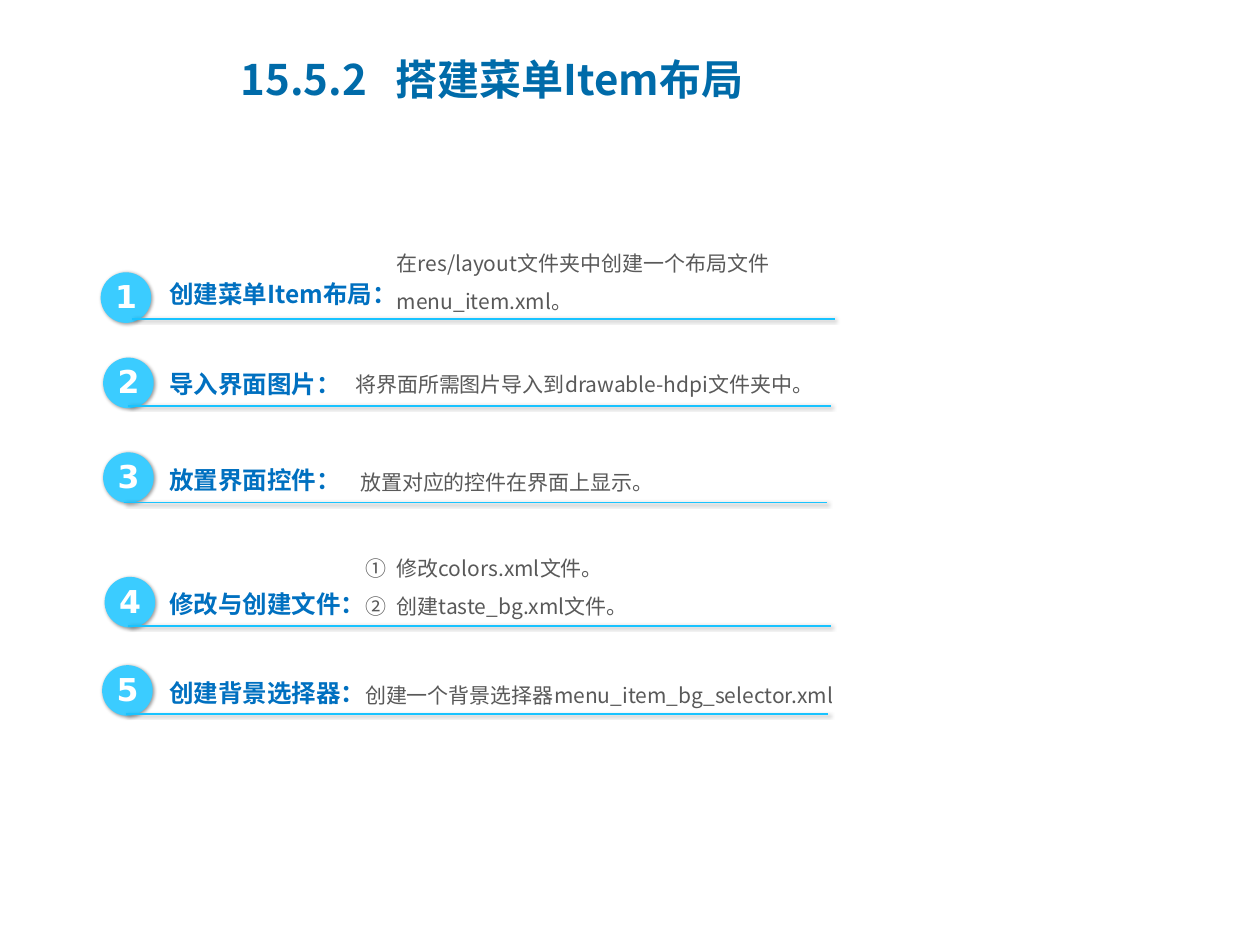
from dataclasses import dataclass

from lxml import etree
from pptx import Presentation
from pptx.dml.color import RGBColor
from pptx.enum.shapes import MSO_CONNECTOR, MSO_SHAPE
from pptx.enum.text import MSO_ANCHOR, MSO_AUTO_SIZE
from pptx.oxml.ns import qn
from pptx.util import Cm, Pt

STRAIGHT = MSO_CONNECTOR.STRAIGHT
OVAL = MSO_SHAPE.OVAL
MIDDLE = MSO_ANCHOR.MIDDLE
GROW = MSO_AUTO_SIZE.SHAPE_TO_FIT_TEXT


@dataclass(frozen=True)
class TextStyle:
    """Type settings of one kind of text."""
    size: int
    color: str
    font: str = "Noto Sans CJK SC"
    bold: bool = False


@dataclass(frozen=True)
class Theme:
    """Colours and type sizes of the deck."""
    badge: str = "3BCCFF"
    rule: str = "19C3FF"
    shadow: str = "000000"
    east_asian: str = "Noto Sans CJK SC"
    title: TextStyle = TextStyle(24, "006BA9", bold=True)
    number: TextStyle = TextStyle(18, "FFFFFF", "DejaVu Sans", True)
    label: TextStyle = TextStyle(14, "0070C0", bold=True)
    detail: TextStyle = TextStyle(12, "595959")
    plain_detail: TextStyle = TextStyle(12, "595959", "Calibri")


@dataclass(frozen=True)
class Step:
    """One numbered step; places are (left, top[, width]) in centimetres."""
    label: str
    details: tuple
    badge: tuple
    label_top: float
    rule: tuple
    detail_place: tuple
    style: TextStyle
    numbered: bool = False


THEME = Theme()
LABEL_LEFT, LABEL_WIDTH = 3.16, 5.3
BADGE_SIZE, RULE_LENGTH = 1.02, 14.16

STEPS = (
    Step("创建菜单Item布局：", ("在res/layout文件夹中创建一个布局文件", "menu_item.xml。"),
         (2.03, 5.49), 5.33, (2.67, 6.43), (7.75, 4.78, 9.35), THEME.detail),
    Step("导入界面图片：", ("将界面所需图片导入到drawable-hdpi文件夹中。",),
         (2.08, 7.21), 7.14, (2.59, 8.18), (6.91, 7.21, 10.1), THEME.detail),
    Step("放置界面控件：", ("放置对应的控件在界面上显示。",),
         (2.08, 9.12), 9.07, (2.51, 10.13), (7.01, 9.19, 7.4), THEME.plain_detail),
    Step("修改与创建文件：", ("修改colors.xml文件。", "创建taste_bg.xml文件。"),
         (2.11, 11.63), 11.58, (2.59, 12.62), (7.11, 10.92, 9.25), THEME.detail, True),
    Step("创建背景选择器：", ("创建一个背景选择器menu_item_bg_selector.xml",),
         (2.06, 13.41), 13.36, (2.54, 14.4), (7.11, 13.49, 10.87), THEME.detail),
)


def add_shadow(shape):
    """Give a shape or connector the soft outer shadow."""
    effects = etree.SubElement(shape._element.spPr, qn("a:effectLst"))
    outer = etree.SubElement(effects, qn("a:outerShdw"), blurRad=str(Pt(2)),
                             dist=str(Pt(1)), dir="2700000", rotWithShape="0")
    color = etree.SubElement(outer, qn("a:srgbClr"), val=THEME.shadow)
    etree.SubElement(color, qn("a:alpha"), val="40000")


def add_span(para, text, style):
    """Add one styled run to a paragraph."""
    span = para.add_run()
    span.text = text
    span.font.size = Pt(style.size)
    span.font.bold = style.bold
    span.font.name = style.font
    span.font.color.rgb = RGBColor.from_string(style.color)
    etree.SubElement(span.font._element, qn("a:ea"), typeface=THEME.east_asian)


def number_paragraph(para):
    """Turn a paragraph into a circled-number list item."""
    properties = para._p.get_or_add_pPr()
    properties.set("marL", str(Cm(0.64)))
    properties.set("indent", str(-Cm(0.64)))
    etree.SubElement(properties, qn("a:buFont"), typeface="+mj-ea")
    etree.SubElement(properties, qn("a:buAutoNum"), type="circleNumDbPlain")


def add_text(page, place, lines, style, spaced=True, numbered=False):
    """Add a growing text box with one paragraph per line."""
    box = page.shapes.add_textbox(*(Cm(value) for value in place))
    frame = box.text_frame
    frame.word_wrap = True
    frame.auto_size = GROW
    for index, line in enumerate(lines):
        para = frame.add_paragraph() if index else frame.paragraphs[0]
        if numbered:
            number_paragraph(para)
        if spaced:
            para.line_spacing = 1.3
            para.space_after = Pt(3)
        add_span(para, line, style)


def add_title(page):
    """Add the title, its number and wording parted by a tab stop."""
    box = page.shapes.add_textbox(Cm(4.6), Cm(0.53), Cm(14.3), Cm(2.13))
    frame = box.text_frame
    frame.word_wrap = True
    frame.vertical_anchor = MIDDLE
    para = frame.paragraphs[0]
    tabs = etree.SubElement(para._p.get_or_add_pPr(), qn("a:tabLst"))
    etree.SubElement(tabs, qn("a:tab"), pos=str(Cm(3.13)), algn="l")
    add_span(para, "15.5.2\t搭建菜单Item布局", THEME.title)


def add_badge(page, left, top, number):
    """Add a round badge and its number."""
    badge = page.shapes.add_shape(OVAL, Cm(left), Cm(top), Cm(BADGE_SIZE), Cm(BADGE_SIZE))
    badge.rotation = 9.6
    badge.fill.solid()
    badge.fill.fore_color.rgb = RGBColor.from_string(THEME.badge)
    badge.line.fill.background()
    add_shadow(badge)
    add_text(page, (left + 0.04, top - 0.03, 0.97, 1.02), (str(number),),
             THEME.number, spaced=False)


def add_rule(page, left, top):
    """Add the line under a step."""
    rule = page.shapes.add_connector(STRAIGHT, Cm(left), Cm(top),
                                     Cm(left + RULE_LENGTH), Cm(top))
    rule.line.color.rgb = RGBColor.from_string(THEME.rule)
    rule.line.width = Pt(1)
    add_shadow(rule)


def add_step(page, number, step):
    """Add the badge, line, label and details of one step."""
    add_badge(page, *step.badge, number)
    add_rule(page, *step.rule)
    add_text(page, (LABEL_LEFT, step.label_top, LABEL_WIDTH, 1.04), (step.label,), THEME.label)
    height = 0.13 + 0.78 * len(step.details)
    add_text(page, (*step.detail_place, height), step.details, step.style,
             numbered=step.numbered)


def main():
    """Build and save the deck."""
    deck = Presentation()
    deck.slide_width, deck.slide_height = Cm(25.4), Cm(19.05)
    page = deck.slides.add_slide(deck.slide_layouts[6])
    add_title(page)
    for number, step in enumerate(STEPS, 1):
        add_step(page, number, step)
    deck.save("out.pptx")


if __name__ == "__main__":
    main()
